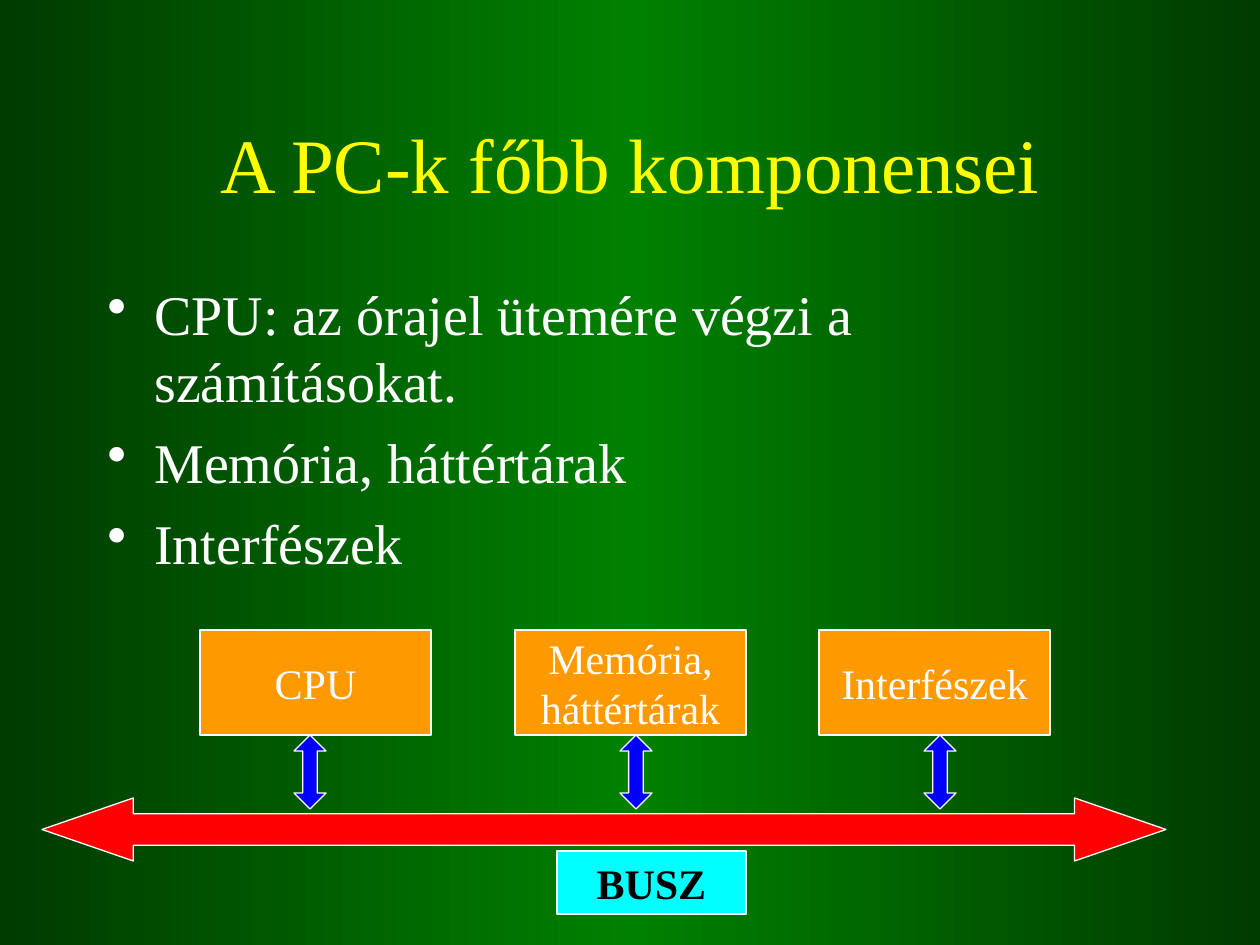
from copy import deepcopy

from lxml import etree
from pptx import Presentation
from pptx.dml.color import RGBColor
from pptx.enum.shapes import MSO_SHAPE as Shape
from pptx.enum.text import MSO_ANCHOR as Anchor, PP_ALIGN as Align
from pptx.oxml.ns import qn
from pptx.util import Emu, Pt

EMU_PER_PX = 914400 / 126
FONT = "Times New Roman"

DARK_GREEN = RGBColor(0x00, 0x3B, 0x00)
GREEN = RGBColor(0x00, 0x80, 0x00)
YELLOW = RGBColor(0xFF, 0xFF, 0x00)
WHITE = RGBColor(0xFF, 0xFF, 0xFF)
BLACK = RGBColor(0x00, 0x00, 0x00)
RED = RGBColor(0xFF, 0x00, 0x00)
ORANGE = RGBColor(0xFF, 0x99, 0x00)
CYAN = RGBColor(0x00, 0xFF, 0xFF)
BLUE = RGBColor(0x00, 0x00, 0xFF)


def px(length):
    return Emu(round(length * EMU_PER_PX))


class SlideBuilder:
    def __init__(self, page):
        self.page = page

    def background(self, edge, middle):
        fill = self.page.background.fill
        fill.gradient()
        fill.gradient_angle = 0
        for stop in fill.gradient_stops:
            stop.color.rgb = edge
        stop_list = next(self.page.element.iter(qn("a:gsLst")))
        center = deepcopy(stop_list[0])
        center.set("pos", "50000")
        stop_list.insert(1, center)
        fill.gradient_stops[1].color.rgb = middle

    def fill_text(self, frame, lines, size, color, align, bold=False):
        frame.text = "\n".join(lines)
        for para in frame.paragraphs:
            para.alignment = align
            para.font.name = FONT
            para.font.size = Pt(size)
            para.font.bold = bold
            para.font.color.rgb = color

    def text(self, left, top, width, height, lines, size, color, align=Align.LEFT,
             anchor=Anchor.TOP):
        box = self.page.shapes.add_textbox(px(left), px(top), px(width), px(height))
        frame = box.text_frame
        frame.word_wrap = True
        frame.vertical_anchor = anchor
        self.fill_text(frame, lines, size, color, align)
        return frame

    def bullets(self, left, top, width, height, lines, size, color):
        frame = self.text(left, top, width, height, lines, size, color)
        for index, para in enumerate(frame.paragraphs):
            para.space_before = Pt(8 if index else 0)
            props = para._p.get_or_add_pPr()
            props.set("marL", str(px(47)))
            props.set("indent", str(-px(47)))
            bullet = etree.Element(qn("a:buChar"), char="•")
            props.find(qn("a:defRPr")).addprevious(bullet)

    def shape(self, kind, left, top, width, height, color, adjustments=()):
        shape = self.page.shapes.add_shape(kind, px(left), px(top), px(width), px(height))
        shape.shadow.inherit = False
        shape.fill.solid()
        shape.fill.fore_color.rgb = color
        shape.line.color.rgb = WHITE
        shape.line.width = Pt(0.75)
        for index, value in enumerate(adjustments):
            shape.adjustments[index] = value
        return shape

    def label(self, left, top, width, height, color, lines, text_color=WHITE, bold=False):
        frame = self.shape(Shape.RECTANGLE, left, top, width, height, color).text_frame
        frame.word_wrap = False
        frame.vertical_anchor = Anchor.MIDDLE
        self.fill_text(frame, lines, 24, text_color, Align.CENTER, bold)


def main():
    deck = Presentation()
    deck.slide_width, deck.slide_height = px(1260), px(945)
    builder = SlideBuilder(deck.slides.add_slide(deck.slide_layouts[6]))
    builder.background(DARK_GREEN, GREEN)

    # Title and bullet list
    builder.text(95, 84, 1071, 158, ["A PC-k főbb komponensei"], 44, YELLOW,
                 Align.CENTER, Anchor.MIDDLE)
    builder.bullets(95, 273, 1071, 567, [
        "CPU: az órajel ütemére végzi a számításokat.",
        "Memória, háttértárak",
        "Interfészek",
    ], 32, WHITE)

    # Bus
    builder.shape(Shape.LEFT_RIGHT_ARROW, 42, 798, 1124, 63, RED, (0.5, 1.45))
    builder.label(557, 851, 189, 63, CYAN, ["BUSZ"], BLACK, bold=True)

    # Components, each linked to the bus
    components = [
        (200, 294, ["CPU"]),
        (515, 620, ["Memória,", "háttértárak"]),
        (819, 924, ["Interfészek"]),
    ]
    for box_left, arrow_left, lines in components:
        builder.label(box_left, 630, 231, 105, ORANGE, lines)
        builder.shape(Shape.UP_DOWN_ARROW, arrow_left, 735, 32, 74, BLUE, (0.5, 0.46))

    deck.save("out.pptx")


if __name__ == "__main__":
    main()
